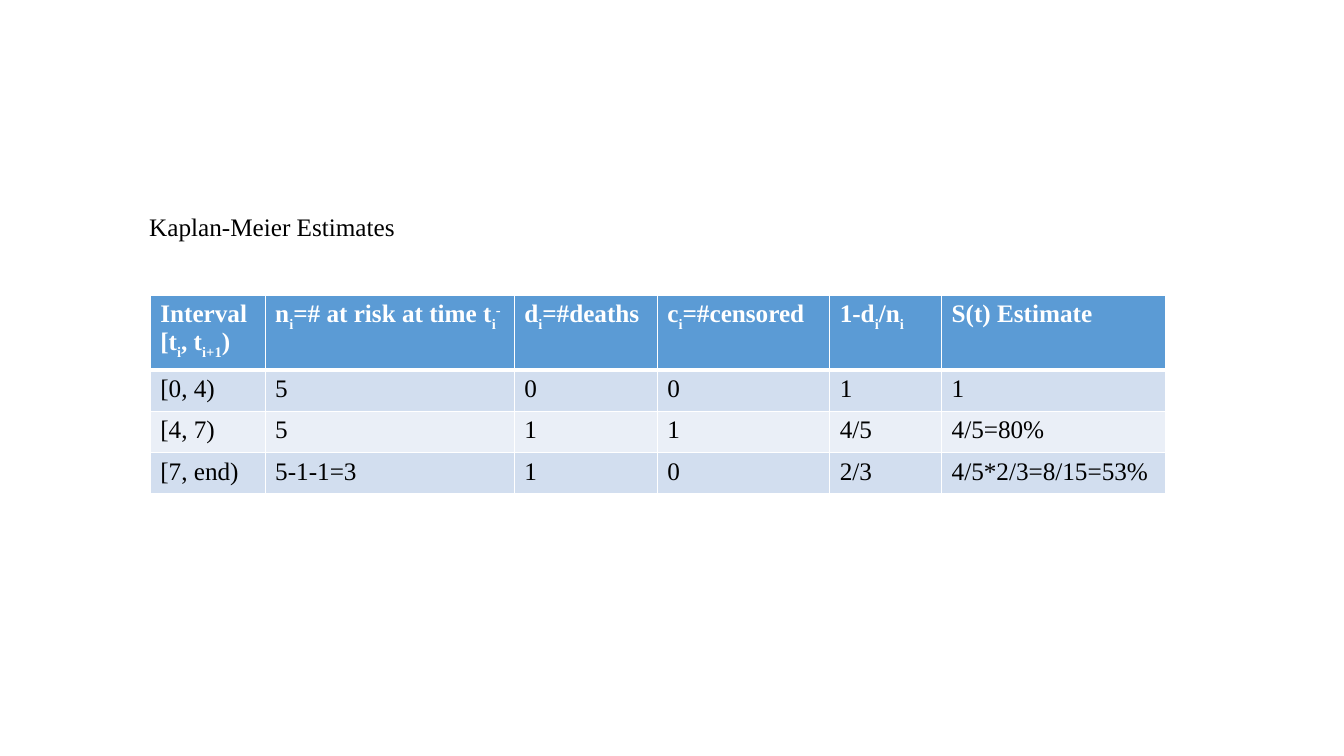
from pptx import Presentation
from pptx.dml.color import RGBColor
from pptx.enum.text import MSO_ANCHOR, MSO_AUTO_SIZE, PP_ALIGN
from pptx.oxml import parse_xml
from pptx.oxml.ns import nsdecls
from pptx.util import Inches, Pt

TOP = MSO_ANCHOR.TOP
LEFT = PP_ALIGN.LEFT
FIT_SHAPE = MSO_AUTO_SIZE.SHAPE_TO_FIT_TEXT

WHITE = RGBColor(0xFF, 0xFF, 0xFF)
BLACK = RGBColor(0x00, 0x00, 0x00)
HEADER_BLUE = RGBColor(0x5B, 0x9B, 0xD5)
BANDS = [RGBColor(0xD2, 0xDE, 0xEF), RGBColor(0xEA, 0xEF, 0xF7)]

TITLE_ONLY = 5
SUB, SUPER = -25, 30

# Each header cell is a list of paragraphs, each a list of (text, baseline) runs
I = ("i", SUB)
HEADERS = [
    [[("Interval", 0)], [("[t", 0), I, (", t", 0), ("i+1", SUB), (")", 0)]],
    [[("n", 0), I, ("=# at risk at time t", 0), I, ("-", SUPER)]],
    [[("d", 0), I, ("=#deaths", 0)]],
    [[("c", 0), I, ("=#censored", 0)]],
    [[("1-d", 0), I, ("/n", 0), I]],
    [[("S(t) Estimate", 0)]],
]
ESTIMATES = [
    ["[0, 4)", "5", "0", "0", "1", "1"],
    ["[4, 7)", "5", "1", "1", "4/5", "4/5=80%"],
    ["[7, end)", "5-1-1=3", "1", "0", "2/3", "4/5*2/3=8/15=53%"],
]
COLUMN_WIDTHS = [1.14, 2.47, 1.42, 1.71, 1.11, 2.22]
HEADER_HEIGHT, ROW_HEIGHT = 0.73, 0.41


class SlideBuilder:
    font_name = "Times New Roman"
    font_size = Pt(18)

    def __init__(self, slide):
        self.slide = slide

    def add_run(self, paragraph, text, color, bold=False, baseline=0):
        run = paragraph.add_run()
        run.text = text
        run.font.name = self.font_name
        run.font.size = self.font_size
        run.font.bold = bold
        run.font.color.rgb = color
        if baseline:
            run._r.get_or_add_rPr().set("baseline", str(baseline * 1000))

    def set_title(self, text, left, top, width, height):
        title = self.slide.shapes.title
        title.left, title.top = Inches(left), Inches(top)
        title.width, title.height = Inches(width), Inches(height)
        frame = title.text_frame
        frame.word_wrap = False
        frame.auto_size = FIT_SHAPE
        frame.vertical_anchor = TOP
        paragraph = frame.paragraphs[0]
        paragraph.alignment = LEFT
        self.add_run(paragraph, text, BLACK)

    def set_borders(self, cell, top=1, bottom=1):
        properties = cell._tc.get_or_add_tcPr()
        for side, points in (("L", 1), ("R", 1), ("T", top), ("B", bottom)):
            properties.append(parse_xml(
                f'<a:ln{side} {nsdecls("a")} w="{Pt(points)}">'
                f'<a:solidFill><a:srgbClr val="{WHITE}"/></a:solidFill>'
                f'</a:ln{side}>'))

    def fill_cell(self, cell, paragraphs, fill, color, bold=False):
        cell.fill.solid()
        cell.fill.fore_color.rgb = fill
        frame = cell.text_frame
        for index, runs in enumerate(paragraphs):
            paragraph = frame.add_paragraph() if index else frame.paragraphs[0]
            for text, baseline in runs:
                self.add_run(paragraph, text, color, bold, baseline)

    def add_table(self, left, top, headers, rows):
        height = HEADER_HEIGHT + ROW_HEIGHT * len(rows)
        table = self.slide.shapes.add_table(
            len(rows) + 1, len(headers), Inches(left), Inches(top),
            Inches(sum(COLUMN_WIDTHS)), Inches(height)).table
        for column, width in zip(table.columns, COLUMN_WIDTHS):
            column.width = Inches(width)
        for index, row in enumerate(table.rows):
            row.height = Inches(ROW_HEIGHT if index else HEADER_HEIGHT)

        # Header row, with a thick rule below it
        for column, paragraphs in enumerate(headers):
            cell = table.cell(0, column)
            self.set_borders(cell, bottom=3)
            self.fill_cell(cell, paragraphs, HEADER_BLUE, WHITE, bold=True)

        # Banded body rows
        for index, values in enumerate(rows):
            for column, value in enumerate(values):
                cell = table.cell(index + 1, column)
                self.set_borders(cell, top=1 if index else 3)
                self.fill_cell(cell, [[(value, 0)]], BANDS[index % 2], BLACK)


def main():
    presentation = Presentation()
    presentation.slide_width = Inches(13.33)
    presentation.slide_height = Inches(7.5)
    layout = presentation.slide_layouts[TITLE_ONLY]
    builder = SlideBuilder(presentation.slides.add_slide(layout))

    # Title and table of survival estimates
    builder.set_title("Kaplan-Meier Estimates", 1.38, 2.05, 2.66, 0.4)
    builder.add_table(1.49, 2.93, HEADERS, ESTIMATES)

    presentation.save("out.pptx")


if __name__ == "__main__":
    main()
